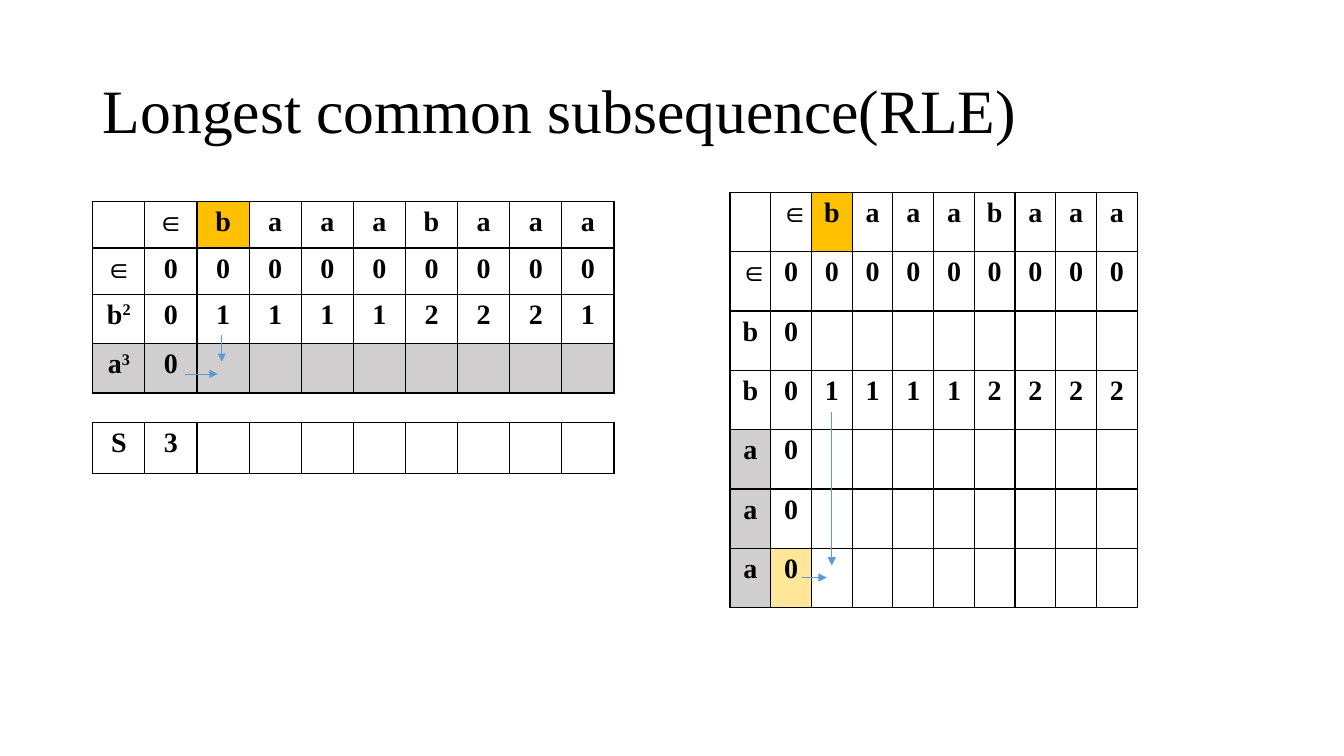
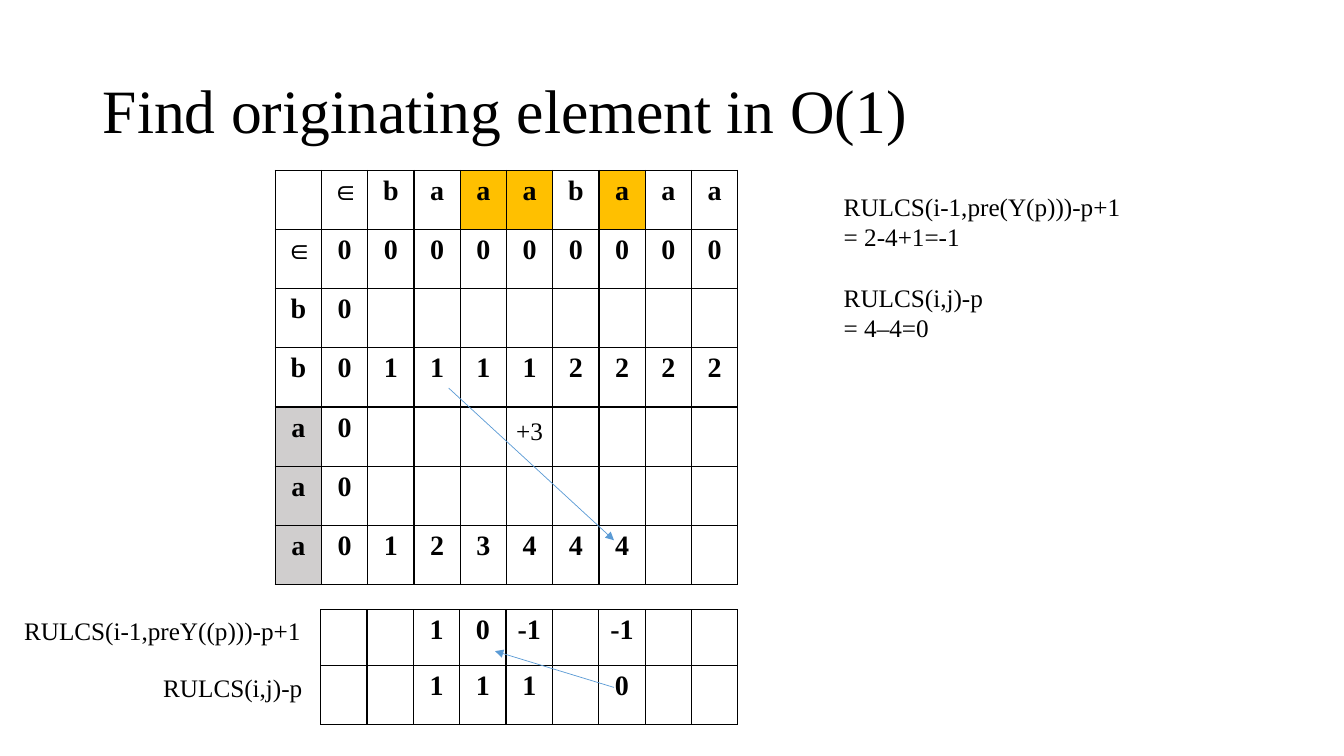
from pptx import Presentation
from pptx.dml.color import RGBColor
from pptx.enum.shapes import MSO_CONNECTOR
from pptx.enum.text import MSO_ANCHOR, MSO_AUTO_SIZE, PP_ALIGN
from pptx.oxml.ns import qn
from pptx.util import Inches, Pt
from lxml.etree import SubElement

FONT = "Times New Roman"
COLORS = {
    "text": "000000",
    "paper": "FFFFFF",
    "match": "FFC000",
    "run": "D0CECE",
    "start": "FFE699",
    "arrow": "5B9BD5",
}
EMPTY = "."
HEADER_ROWS = [". ∈ b a a a b a a a", "∈ 0 0 0 0 0 0 0 0 0"]
EMPTY_TAIL = " ." * 8
EXPANDED_ROWS = HEADER_ROWS + [
    "b 0" + EMPTY_TAIL,
    "b 0 1 1 1 1 2 2 2 2",
    "a 0" + EMPTY_TAIL,
    "a 0" + EMPTY_TAIL,
]
RUN_LABELS = {(row, 0): "run" for row in (4, 5, 6)}


def color(name):
    """Return the named colour."""
    return RGBColor.from_string(COLORS[name])


def add_span(para, text, size, bold=False):
    """Add one formatted run to a paragraph."""
    span = para.add_run()
    span.text = text
    span.font.name = FONT
    span.font.size = Pt(size)
    span.font.bold = bold
    span.font.color.rgb = color("text")
    return span


def add_page(deck, title):
    """Add a title-only page with the shared title style."""
    page = deck.slides.add_slide(deck.slide_layouts[5])
    box = page.shapes.title
    box.left, box.top = Inches(0.92), Inches(0.4)
    box.width, box.height = Inches(11.5), Inches(1.45)
    frame = box.text_frame
    frame.auto_size = MSO_AUTO_SIZE.NONE
    frame.vertical_anchor = MSO_ANCHOR.MIDDLE
    para = frame.paragraphs[0]
    para.alignment = PP_ALIGN.LEFT
    para.line_spacing = 0.9
    add_span(para, title, 44)
    return page


def style_cell(cell, text, fill):
    """Border, fill and write one cell; a caret starts a superscript."""
    properties = cell._tc.get_or_add_tcPr()
    for side in ("lnL", "lnR", "lnT", "lnB"):
        border = SubElement(properties, qn("a:" + side), w=str(Pt(1)))
        solid = SubElement(border, qn("a:solidFill"))
        SubElement(solid, qn("a:srgbClr"), val=COLORS["text"])
    cell.fill.solid()
    cell.fill.fore_color.rgb = color(fill)
    if text == EMPTY:
        return
    para = cell.text_frame.paragraphs[0]
    para.alignment = PP_ALIGN.CENTER
    base, _, power = text.partition("^")
    add_span(para, base, 20, True)
    if power:
        span = add_span(para, power, 20, True)
        span.font._element.set("baseline", "30000")


def add_grid(page, left, top, width, heights, rows, fills=None):
    """Add a table of equal columns from rows of space-separated symbols."""
    fills = fills or {}
    cells = [row.split() for row in rows]
    count = len(cells[0])
    frame = page.shapes.add_table(
        len(cells), count, Inches(left), Inches(top), Inches(width), Inches(sum(heights)))
    table = frame.table
    table.first_row = table.horz_banding = False
    for column in table.columns:
        column.width = Inches(width / count)
    for row_index, (texts, height) in enumerate(zip(cells, heights)):
        table.rows[row_index].height = Inches(height)
        for column_index, text in enumerate(texts):
            fill = fills.get((row_index, column_index), "paper")
            style_cell(table.cell(row_index, column_index), text, fill)


def add_arrow(page, left, top, start, end):
    """Draw an arrow between two points measured from a region's corner."""
    arrow = page.shapes.add_connector(
        MSO_CONNECTOR.STRAIGHT,
        Inches(left + start[0]), Inches(top + start[1]),
        Inches(left + end[0]), Inches(top + end[1]))
    arrow.line.color.rgb = color("arrow")
    arrow.line.width = Pt(0.5)
    SubElement(arrow.line._get_or_add_ln(), qn("a:tailEnd"), type="triangle")
    SubElement(arrow._element.spPr, qn("a:effectLst"))


def add_label(page, left, top, width, height, groups):
    """Add a text box whose groups of lines are one line apart."""
    box = page.shapes.add_textbox(Inches(left), Inches(top), Inches(width), Inches(height))
    frame = box.text_frame
    frame.word_wrap = False
    para = frame.paragraphs[0]
    for group_index, lines in enumerate(groups):
        for line_index, line in enumerate(lines):
            if group_index or line_index:
                para = frame.add_paragraph()
            if group_index and not line_index:
                para.space_before = Pt(21.6)
            add_span(para, line, 18)


def add_compressed_grid(page, left, top):
    """Add the run-length table and its S row."""
    rows = HEADER_ROWS + ["b^2 0 1 1 1 1 2 2 2 1", "a^3 0" + EMPTY_TAIL]
    fills = {(3, column): "run" for column in range(10)}
    fills[0, 2] = "match"
    add_grid(page, left, top, 5.17, [0.46, 0.46, 0.49, 0.49], rows, fills)
    add_grid(page, left, top + 2.19, 5.17, [0.51], ["S 3" + EMPTY_TAIL])
    add_arrow(page, left, top, (1.28, 1.32), (1.28, 1.59))
    add_arrow(page, left, top, (0.91, 1.71), (1.24, 1.71))


def add_expanded_grid(page, left, top):
    """Add the uncompressed table with its two arrows."""
    fills = {**RUN_LABELS, (0, 2): "match", (6, 1): "start"}
    rows = EXPANDED_ROWS + ["a 0" + EMPTY_TAIL]
    add_grid(page, left, top, 4.04, [4.12 / 7] * 7, rows, fills)
    add_arrow(page, left, top, (1.01, 2.18), (1.01, 3.7))
    add_arrow(page, left, top, (0.71, 3.82), (0.96, 3.82))


def add_origin_grid(page, left, top):
    """Add the table that traces an element to its origin."""
    fills = {**RUN_LABELS, **{(0, column): "match" for column in (4, 5, 7)}}
    rows = EXPANDED_ROWS + ["a 0 1 2 3 4 4 4 . ."]
    add_grid(page, left, top, 4.59, [4.11 / 7] * 7, rows, fills)
    add_arrow(page, left, top, (1.72, 2.16), (3.36, 3.67))
    add_label(page, left + 2.29, top + 2.38, 0.91, 0.4, [["+3"]])


def add_difference_grid(page, left, top):
    """Add the two labelled rows of differences."""
    rows = [". . 1 0 -1 . -1 . .", ". . 1 1 1 . 0 . ."]
    add_grid(page, left, top, 4.14, [0.55, 0.59], rows)
    add_label(page, left - 3.04, top + 0.01, 3.04, 0.4, [["RULCS(i-1,preY((p)))-p+1"]])
    add_label(page, left - 1.66, top + 0.57, 1.66, 0.4, [["RULCS(i,j)-p"]])
    add_arrow(page, left, top, (2.91, 0.77), (1.73, 0.41))


def main():
    """Build and save the deck."""
    deck = Presentation()
    deck.slide_width, deck.slide_height = Inches(13.33), Inches(7.5)
    page = add_page(deck, "Longest common subsequence(RLE)")
    add_compressed_grid(page, 0.92, 2)
    add_expanded_grid(page, 7.24, 1.91)
    page = add_page(deck, "Find originating element in O(1)")
    add_origin_grid(page, 2.73, 1.69)
    add_difference_grid(page, 3.18, 6.05)
    add_label(page, 8.27, 1.85, 2.97, 2.22, [
        ["RULCS(i-1,pre(Y(p)))-p+1", "= 2-4+1=-1"],
        ["RULCS(i,j)-p", "= 4–4=0"],
    ])
    deck.save("out.pptx")


if __name__ == "__main__":
    main()
